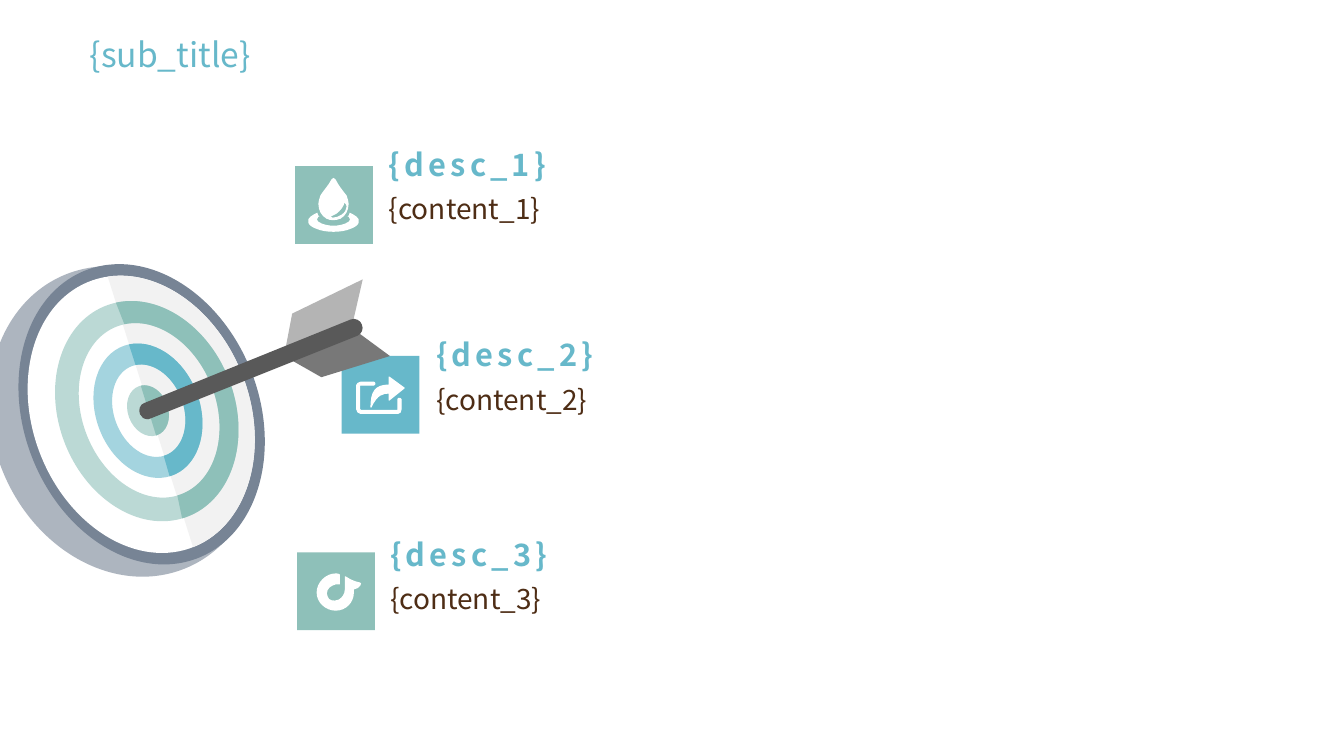
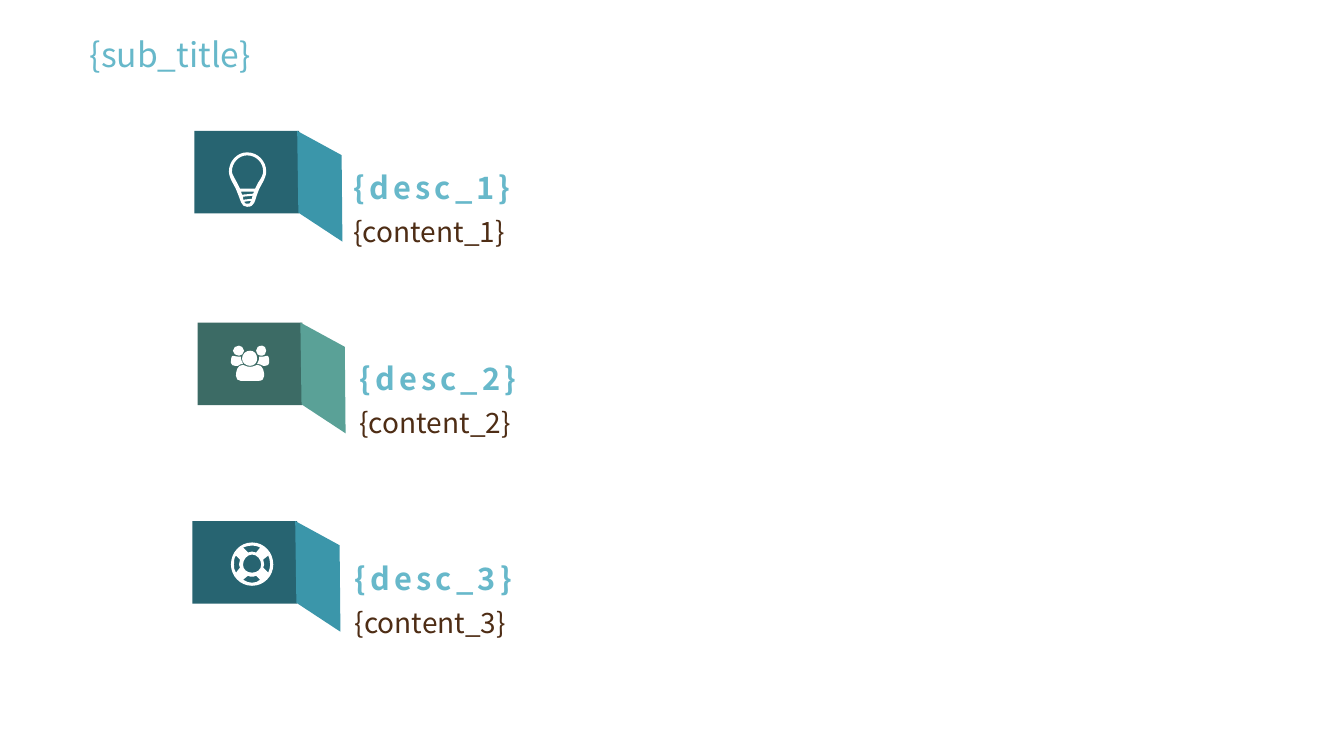
from math import cos, radians, sin, tan

from pptx import Presentation
from pptx.dml.color import RGBColor
from pptx.enum.shapes import MSO_SHAPE
from pptx.enum.text import MSO_ANCHOR, MSO_AUTO_SIZE, PP_ALIGN
from pptx.oxml.ns import qn
from pptx.oxml.xmlchemy import OxmlElement
from pptx.util import Cm, Pt

RECTANGLE = MSO_SHAPE.RECTANGLE
TOP, MIDDLE, BOTTOM = MSO_ANCHOR.TOP, MSO_ANCHOR.MIDDLE, MSO_ANCHOR.BOTTOM
FIXED, GROW = MSO_AUTO_SIZE.NONE, MSO_AUTO_SIZE.SHAPE_TO_FIT_TEXT
LEFT = PP_ALIGN.LEFT
TITLE_ONLY = 5

FONT = "Noto Sans CJK SC"
WHITE = RGBColor(0xFF, 0xFF, 0xFF)
OFF_WHITE = RGBColor(0xF2, 0xF2, 0xF2)
BROWN = RGBColor(0x4E, 0x2D, 0x15)
BLUE = RGBColor(0x67, 0xB8, 0xCA)
PALE_BLUE = RGBColor(0xA4, 0xD4, 0xDF)
GREEN = RGBColor(0x8E, 0xC0, 0xB9)
PALE_GREEN = RGBColor(0xBB, 0xD9, 0xD5)
SLATE = RGBColor(0x77, 0x84, 0x95)
PALE_SLATE = RGBColor(0xAD, 0xB5, 0xBF)
LIGHT_GREY = RGBColor(0xB4, 0xB4, 0xB4)
MID_GREY = RGBColor(0x78, 0x78, 0x78)
DARK_GREY = RGBColor(0x59, 0x59, 0x59)
DEEP_BLUE = RGBColor(0x27, 0x64, 0x71)
SIDE_BLUE = RGBColor(0x3B, 0x96, 0xAA)
DEEP_GREEN = RGBColor(0x3C, 0x6B, 0x65)
SIDE_GREEN = RGBColor(0x5A, 0xA1, 0x97)

UNIT = 0.0254
TILE = 1.96
PANEL_WIDTH, PANEL_HEIGHT = 2.64, 2.08
PANEL_SIDE = [(2.59, 0), (2.62, 2.06), (3.73, 2.79), (3.71, 0.61)]
CAPTION_WIDTH, CONTENT_DROP = 22.48, 0.92

DROP = """
M 24 39 C 25 39 26 40 26 40 C 29 40 32 39 35 37 C 38 35 40 32 40 29
C 40 28 39 26 38 25 C 37 29 34 33 30 36 C 28 37 26 38 24 39
M 14 18 C 17 13 22 8 25 2 C 27 0 27 0 29 2 C 32 8 36 13 40 18
C 41 21 42 24 42 26 C 42 33 39 38 34 41 C 29 43 24 43 20 41
C 15 38 12 33 12 26 C 12 24 13 21 14 18
M 27 48 C 31 48 38 47 42 44 C 44 43 44 41 42 39 L 41 39
C 42 38 43 37 43 35 C 47 37 54 40 52 45 C 51 48 47 50 44 51
C 40 53 33 54 27 54 C 21 54 14 53 10 51 C 7 50 3 48 2 45
C 0 40 7 37 11 35 C 11 37 12 38 13 39 L 12 39
C 10 41 10 43 12 44 C 16 47 23 48 27 48"""
SHARE_BOX = """
M 41 31 L 4 31 C 2 31 0 29 0 27 L 0 3 C 0 2 2 0 4 0 L 17 0
C 18 0 18 1 18 2 C 18 3 18 3 17 3 L 3 3 L 3 27 C 3 28 3 28 4 28
L 41 28 L 41 17 C 41 16 41 16 43 16 C 43 16 44 16 44 17
L 44 27 C 44 29 43 31 41 31"""
SHARE_ARROW = """
M 18 23 L 33 11 L 18 0 L 18 8 C 4 8 0 15 0 30 C 6 17 12 16 18 16"""
NOTE = """
M 37 16 C 43 15 46 9 43 9 C 37 8 32 5 29 3 L 28 3 L 28 16
C 28 21 25 24 22 26 C 17 28 12 27 11 23 C 9 19 11 14 16 12
C 18 11 21 10 23 11 L 23 1 C 22 0 20 0 19 0 C 9 0 0 9 0 19
C 0 29 9 37 19 37 C 29 37 37 29 37 19"""
BULB = """
M 18 0 C 8 0 0 9 0 19 C 0 26 6 33 8 39 C 12 48 12 54 18 54
C 26 54 25 49 29 39 C 31 33 37 26 37 19 C 37 9 29 0 18 0
M 23 46 L 14 47 C 14 46 14 45 14 44 L 24 43 C 24 43 24 44 23 44
M 13 42 L 12 39 L 25 39 C 25 40 25 40 24 41
M 18 51 C 17 51 16 51 15 49 L 22 48 C 21 51 21 51 18 51
M 26 36 L 11 36 C 10 34 9 32 8 30 C 6 26 3 22 3 19 C 3 10 10 3 18 3
C 27 3 34 10 34 19 C 34 22 32 26 29 30 C 28 32 27 34 26 36"""
PEOPLE = """
M 7 20 L 4 20 C 2 20 0 19 0 17 C 0 15 0 10 2 10 C 3 10 5 11 8 11
L 10 11 L 10 13 C 10 14 11 16 12 18 C 10 18 8 19 7 20
M 34 20 L 32 20 C 30 19 28 18 26 18 C 27 16 28 14 28 13 L 28 11
C 28 11 29 11 31 11 C 33 11 35 10 36 10 C 38 10 38 15 38 17
C 38 19 36 20 34 20
M 8 10 C 5 10 2 8 2 5 C 2 2 5 0 8 0 C 10 0 13 2 13 5 C 13 8 10 10 8 10
M 31 10 C 27 10 25 8 25 5 C 25 2 27 0 31 0 C 33 0 35 2 35 5 C 35 8 33 10 31 10
M 27 35 L 10 35 C 7 35 5 33 5 30 C 5 26 6 19 12 19 C 13 19 15 21 19 21
C 23 21 25 19 26 19 C 32 19 33 26 33 30 C 33 33 31 35 27 35
M 19 20 C 15 20 11 17 11 13 C 11 8 15 5 19 5 C 23 5 26 8 26 13
C 26 17 23 20 19 20"""
LIFEBUOY = """
M 42 22 C 42 33 33 43 21 43 C 9 43 0 33 0 22 C 0 10 9 0 21 0 C 33 0 42 10 42 22
M 9 25 C 9 24 8 23 8 22 C 8 20 9 19 9 17 L 5 13 C 3 15 3 19 3 22 C 3 25 3 27 5 30
M 30 22 C 30 17 26 12 21 12 C 16 12 12 17 12 22 C 12 27 16 30 21 30
C 26 30 30 27 30 22
M 12 5 L 17 10 C 18 10 20 9 21 9 C 22 9 23 10 25 10 L 29 5
C 27 4 24 3 21 3 C 18 3 15 4 12 5
M 29 37 L 25 33 C 23 34 22 34 21 34 C 20 34 18 34 17 33 L 12 37
C 15 39 18 40 21 40 C 24 40 27 39 29 37
M 37 30 C 38 27 39 25 39 22 C 39 19 38 15 37 13 L 32 17
C 33 19 33 20 33 22 C 33 23 33 24 32 25"""
UPPER_FEATHER = "M 0 76 L 8 34 L 78 0 L 67 48"
LOWER_FEATHER = "M 0 28 L 37 49 L 105 28 L 67 0"
SHAFT = """
M 10 101 C 6 101 3 99 2 96 C 0 92 2 86 6 85 L 211 2 C 215 0 221 3 222 7
C 224 11 222 16 218 18 L 13 100"""


def read_outline(text, left, top):
    contours = []
    for part in text.split("M")[1:]:
        contour = []
        for token in part.replace("L", "C").split("C"):
            numbers = [float(number) * UNIT for number in token.split()]
            contour.append([(left + x, top + y)
                            for x, y in zip(numbers[::2], numbers[1::2])])
        contours.append(contour)
    return contours


def ellipse_arc(ellipse, start=0, end=360):
    x, y, across, down = ellipse
    count = max(2, round(abs(end - start) / 90))
    step = radians(end - start) / count
    reach = 4 / 3 * tan(step / 4)

    def point(angle, pull=0):
        along = cos(angle) - pull * sin(angle)
        aside = sin(angle) + pull * cos(angle)
        return (x + across * along + 0.36 * down * aside,
                y - 0.34 * across * along + down * aside)

    angles = [radians(start) + step * index for index in range(count + 1)]
    curves = [[point(a, reach), point(b, -reach), point(b)]
              for a, b in zip(angles, angles[1:])]
    return [[point(angles[0])]] + curves


def paint(shape, fill, line=None):
    shape.shadow.inherit = False
    shape.fill.solid()
    shape.fill.fore_color.rgb = fill
    if line:
        shape.line.color.rgb = line
        shape.line.width = Pt(0.75)
    else:
        shape.line.fill.background()


def bend_segments(shape, contours):
    lines = iter(list(shape._element.iter(qn("a:lnTo"))))
    for contour in contours:
        for segment in contour[1:]:
            group = [next(lines) for _ in segment]
            if len(group) == 3:
                curve = OxmlElement("a:cubicBezTo")
                group[0].addprevious(curve)
                for line in group:
                    curve.append(line[0])
                    line.getparent().remove(line)


def add_outline(slide, contours, fill, line=None):
    builder = None
    for contour in contours:
        points = [(Cm(x), Cm(y)) for segment in contour for x, y in segment]
        if builder is None:
            builder = slide.shapes.build_freeform(*points[0])
        else:
            builder.move_to(*points[0])
        builder.add_line_segments(points[1:], close=True)
    shape = builder.convert_to_shape()
    bend_segments(shape, contours)
    paint(shape, fill, line)


def add_icon(slide, outline, left, top, fill=WHITE, line=None):
    add_outline(slide, read_outline(outline, left, top), fill, line)


def add_rectangle(slide, left, top, width, height, fill):
    shape = slide.shapes.add_shape(RECTANGLE, Cm(left), Cm(top), Cm(width), Cm(height))
    paint(shape, fill)


def write_text(box, text, size, color, bold=False, spacing=None, line_spacing=None,
               anchor=TOP, fit=GROW):
    frame = box.text_frame
    frame.word_wrap = True
    frame.auto_size = fit
    frame.vertical_anchor = anchor
    para = frame.paragraphs[0]
    para.alignment = LEFT
    if line_spacing:
        para.line_spacing = line_spacing
    span = para.add_run()
    span.text = text
    span.font.name = FONT
    span.font.size = Pt(size)
    span.font.bold = bold
    span.font.color.rgb = color
    if spacing:
        span.font._element.set("spc", str(spacing * 100))


def add_caption(slide, number, left, top):
    heading = slide.shapes.add_textbox(Cm(left), Cm(top), Cm(CAPTION_WIDTH), Cm(1.19))
    write_text(heading, f"{{desc_{number}}}", 22, BLUE, bold=True, spacing=3, anchor=BOTTOM)
    content = slide.shapes.add_textbox(Cm(left), Cm(top + CONTENT_DROP),
                                       Cm(CAPTION_WIDTH), Cm(1.37))
    write_text(content, f"{{content_{number}}}", 20, BROWN, line_spacing=1.3)


def add_page(deck):
    slide = deck.slides.add_slide(deck.slide_layouts[TITLE_ONLY])
    title = slide.shapes.title
    title.left, title.top, title.width, title.height = Cm(2.26), Cm(0.66), Cm(8.84), Cm(1.4)
    write_text(title, "{sub_title}", 24, BLUE, anchor=MIDDLE, fit=FIXED)
    title.text_frame.margin_left = title.text_frame.margin_right = 0
    return slide


def add_ring(slide, outer, inner, fill, shade, start=-85, end=92):
    whole, half = [ellipse_arc(outer)], ellipse_arc(outer, start, end)
    if inner:
        whole.append(ellipse_arc(inner))
        half += ellipse_arc(inner, end, start)
    add_outline(slide, whole, fill)
    add_outline(slide, [half], shade)


def add_target(slide):
    add_outline(slide, [ellipse_arc((3.16, 10.62, 3.16, 3.76))], PALE_SLATE)
    add_outline(slide, [ellipse_arc((3.57, 10.44, 2.81, 3.66))], SLATE)
    add_ring(slide, (3.56, 10.44, 2.59, 3.38), None, WHITE, OFF_WHITE, -82, 88)
    add_ring(slide, (3.7, 10.36, 2.1, 2.68), (3.76, 10.34, 1.6, 2.13), PALE_GREEN, GREEN)
    add_ring(slide, (3.73, 10.35, 1.24, 1.64), (3.75, 10.35, 0.83, 1.13), PALE_BLUE, BLUE)
    add_ring(slide, (3.73, 10.35, 0.48, 0.62), None, PALE_GREEN, GREEN)


def add_arrow(slide):
    add_icon(slide, UPPER_FEATHER, 7.16, 7.04, LIGHT_GREY)
    add_icon(slide, LOWER_FEATHER, 7.16, 8.26, MID_GREY)
    add_icon(slide, SHAFT, 3.48, 8, DARK_GREY)


def add_panel(slide, left, top, front, side):
    add_rectangle(slide, left, top, PANEL_WIDTH, PANEL_HEIGHT, front)
    add_outline(slide, [[[(left + x, top + y)] for x, y in PANEL_SIDE]], side)


def build_target_page(deck):
    slide = add_page(deck)
    add_target(slide)
    for left, top, fill in ((7.44, 4.19, GREEN), (8.61, 8.97, BLUE), (7.49, 13.92, GREEN)):
        add_rectangle(slide, left, top, TILE, TILE, fill)
    add_arrow(slide)
    add_icon(slide, DROP, 7.72, 4.47)
    add_icon(slide, SHARE_BOX, 8.99, 9.63, line=WHITE)
    add_icon(slide, SHARE_ARROW, 9.35, 9.5, line=WHITE)
    add_icon(slide, NOTE, 7.98, 14.45)
    for number, place in enumerate(((9.55, 3.53), (10.74, 8.33), (9.58, 13.36)), 1):
        add_caption(slide, number, *place)


def build_panel_page(deck):
    slide = add_page(deck)
    rows = (
        ((4.9, 3.3), DEEP_BLUE, SIDE_BLUE, BULB, (5.77, 3.84), (8.66, 4.11)),
        ((4.98, 8.13), DEEP_GREEN, SIDE_GREEN, PEOPLE, (5.82, 8.71), (8.81, 8.92)),
        ((4.85, 13.13), DEEP_BLUE, SIDE_BLUE, LIFEBUOY, (5.82, 13.67), (8.69, 13.97)),
    )
    for number, (panel, front, side, icon, icon_place, caption) in enumerate(rows, 1):
        add_panel(slide, *panel, front, side)
        add_icon(slide, icon, *icon_place)
        add_caption(slide, number, *caption)


def main():
    deck = Presentation()
    deck.slide_width, deck.slide_height = Cm(33.87), Cm(19.05)
    build_target_page(deck)
    build_panel_page(deck)
    deck.save("out.pptx")


if __name__ == "__main__":
    main()
